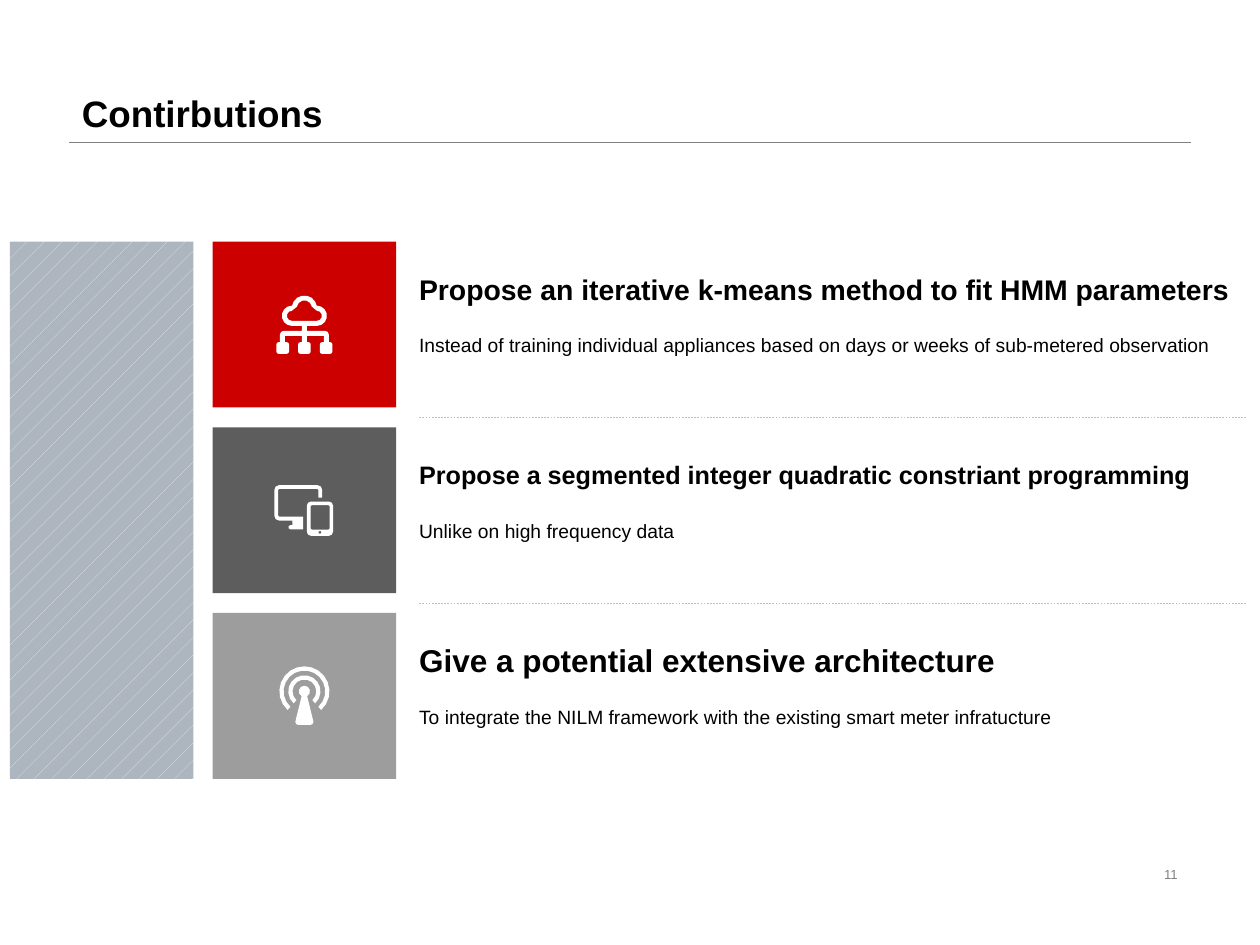
import math

import pptx
import pptx.dml.color
import pptx.enum.dml
import pptx.enum.shapes
import pptx.enum.text
import pptx.oxml.ns
import lxml.etree

Pt = pptx.util.Pt
ANCHOR = pptx.enum.text.MSO_ANCHOR
ALIGN = pptx.enum.text.PP_ALIGN

COLORS = {
    "black": "000000", "white": "FFFFFF", "gray": "808080", "rule": "BFBFBF",
    "red": "CD0000", "dark": "5D5D5D", "light": "9D9D9D",
    "hatch": "E4E6EA", "panel": "ADB5BF",
}
TILE_LEFT, TILE_TOP, TILE_WIDTH, TILE_HEIGHT, PITCH = 121.5, 138.1, 104.9, 94.8, 106.1
TEXT_LEFT, TEXT_WIDTH = 232.4, 480.2

HEADING = {"frame": {"vertical_anchor": ANCHOR.MIDDLE}, "font": {"bold": True}}
DETAIL = {"para": {"line_spacing": 1.5}, "font": {"size": Pt(11)}}
TITLE = {
    "frame": {"vertical_anchor": ANCHOR.BOTTOM},
    "para": {"alignment": ALIGN.LEFT, "line_spacing": 0.9},
    "font": {"size": Pt(21), "bold": True},
}
NUMBER = {
    "frame": {"vertical_anchor": ANCHOR.MIDDLE},
    "para": {"alignment": ALIGN.RIGHT},
    "font": {"size": Pt(7.5)},
}


def color(name):
    return pptx.dml.color.RGBColor.from_string(COLORS[name])


def apply(target, values):
    for name, value in values.items():
        setattr(target, name, value)


def write(box, text, style, ink="black", **font):
    frame = box.text_frame
    apply(frame, {"word_wrap": True, "auto_size": pptx.enum.text.MSO_AUTO_SIZE.NONE})
    apply(frame, style.get("frame", {}))
    para = frame.paragraphs[0]
    apply(para, style.get("para", {}))
    span = para.add_run()
    span.text = text
    apply(span.font, {"name": "Arial", **style["font"], **font})
    span.font.color.rgb = color(ink)


def add_text(slide, bounds, text, style, ink="black", **font):
    box = slide.shapes.add_textbox(*map(Pt, bounds))
    write(box, text, style, ink, **font)


def add_title(slide, text):
    title = slide.shapes.title
    apply(title, {"left": Pt(39.6), "top": Pt(0), "width": Pt(640.8), "height": Pt(81)})
    write(title, text, TITLE)


def add_rectangle(slide, bounds, fill=None):
    kind = pptx.enum.shapes.MSO_SHAPE.RECTANGLE
    shape = slide.shapes.add_shape(kind, *map(Pt, bounds))
    shape.shadow.inherit = False
    shape.line.fill.background()
    if fill:
        shape.fill.solid()
        shape.fill.fore_color.rgb = color(fill)
    return shape


def add_panel(slide, bounds):
    panel = add_rectangle(slide, bounds)
    panel.fill.patterned()
    panel.fill.pattern = pptx.enum.dml.MSO_PATTERN.PERCENT_5
    panel.fill.fore_color.rgb = color("hatch")
    panel.fill.back_color.rgb = color("panel")


def add_rule(slide, left, right, top, ink, dash=None):
    kind = pptx.enum.shapes.MSO_CONNECTOR.STRAIGHT
    rule = slide.shapes.add_connector(kind, Pt(left), Pt(top), Pt(right), Pt(top))
    rule.line.color.rgb = color(ink)
    apply(rule.line, {"width": Pt(0.25), "dash_style": dash})
    properties = rule._element.spPr
    lxml.etree.SubElement(properties, pptx.oxml.ns.qn("a:effectLst"))


def arc(x, y, radius, start, end):
    sweep = math.radians(end - start)
    steps = max(1, round(abs(sweep) * math.sqrt(radius) * 0.9))
    angles = [math.radians(start) + sweep * step / steps for step in range(steps + 1)]
    return [(x + radius * math.cos(angle), y + radius * math.sin(angle)) for angle in angles]


def rounded(left, top, width, height, radius):
    near_x, far_x = left + radius, left + width - radius
    near_y, far_y = top + radius, top + height - radius
    return (arc(near_x, near_y, radius, 180, 270) + arc(far_x, near_y, radius, 270, 360)
            + arc(far_x, far_y, radius, 0, 90) + arc(near_x, far_y, radius, 90, 180))


def mirrored(half):
    return half + [(-x, y) for x, y in reversed(half)]


def cloud_outline(side_radius, top_radius):
    return (arc(-7.1, -5, side_radius, 90, 270) + arc(0, -9.4, top_radius, 190, 350)
            + arc(7.1, -5, side_radius, 270, 450))


def cloud_icon():
    tree = mirrored([(1.4, 0.8), (1.4, 3.6)] + arc(11.8, 5.8, 2.2, 270, 360)
                    + [(14, 10.1), (11.2, 10.1), (11.2, 6.5), (1.4, 6.5), (1.4, 10.1)])
    nodes = [rounded(center - 3.6, 10.1, 7.2, 6.6, 1.2) for center in (-12.4, 0, 12.4)]
    return [cloud_outline(5.8, 7.2), cloud_outline(2.9, 4.4), tree, *nodes]


def devices_icon():
    monitor = (arc(-14.4, -11.6, 2.8, 180, 270) + arc(7.4, -11.6, 2.8, 270, 360)
               + [(10.2, -7.2), (8, -7.2)]
               + arc(7.4, -11.6, 0.6, 360, 270) + arc(-14.4, -11.6, 0.6, 270, 180)
               + arc(-14.4, 3, 0.6, 180, 90) + [(-0.7, 3.6), (-0.7, 10.9)]
               + arc(-8, 9.7, 1.2, 90, 270) + [(-6.8, 8.5), (-6.8, 5.9)]
               + arc(-14.4, 3.1, 2.8, 90, 180))
    tablet = rounded(1.4, -5, 15, 19.6, 2.4)
    screen = rounded(3.6, -2.9, 10.8, 13.9, 0.6)
    return [monitor, tablet, screen, arc(8.9, 12.6, 0.9, 0, 360)]


def antenna_icon():
    mast = (arc(0, -2.6, 3.2, 120, 420) + arc(3.4, 14.8, 1.8, 0, 90)
            + arc(-3.4, 14.8, 1.8, 90, 180))
    waves = [arc(0, -2.6, outer, 132, 408) + arc(0, -2.6, outer - 2.4, 408, 132)
             for outer in (9.2, 14.3)]
    return [mast, *waves]


def add_icon(slide, x, y, contours):
    placed = [[(Pt(x + across), Pt(y + down)) for across, down in contour]
              for contour in contours]
    builder = slide.shapes.build_freeform(*placed[0][0], scale=1.0)
    for number, contour in enumerate(placed):
        if number:
            builder.move_to(*contour[0])
        builder.add_line_segments(contour[1:], close=True)
    icon = builder.convert_to_shape()
    icon.shadow.inherit = False
    icon.fill.solid()
    icon.fill.fore_color.rgb = color("white")
    icon.line.fill.background()


def add_contribution(slide, top, fill, contours, heading, size, detail):
    add_rectangle(slide, (TILE_LEFT, top, TILE_WIDTH, TILE_HEIGHT), fill)
    add_icon(slide, TILE_LEFT + TILE_WIDTH / 2, top + TILE_HEIGHT / 2, contours)
    add_text(slide, (TEXT_LEFT, top + 42.5, TEXT_WIDTH, 41), detail, DETAIL)
    add_text(slide, (TEXT_LEFT, top + 11.5, TEXT_WIDTH, 31), heading, HEADING, size=Pt(size))


def main():
    deck = pptx.Presentation()
    apply(deck, {"slide_width": Pt(720), "slide_height": Pt(540)})
    slide = deck.slides.add_slide(deck.slide_layouts[5])
    add_rule(slide, 39.6, 680.4, 81.2, "gray")
    add_title(slide, "Contirbutions")
    add_text(slide, (508, 491.4, 172.1, 16.6), "11", NUMBER, "gray")
    contributions = [
        ("red", cloud_icon(), "Propose an iterative k-means method to fit HMM parameters", 16.2,
         "Instead of training individual appliances based on days or weeks of sub-metered observation"),
        ("dark", devices_icon(), "Propose a segmented integer quadratic constriant programming", 14.4,
         "Unlike on high frequency data"),
        ("light", antenna_icon(), "Give a potential extensive architecture", 18,
         "To integrate the NILM framework with the existing smart meter infratucture"),
    ]
    last = len(contributions) - 1
    add_panel(slide, (5.6, TILE_TOP, TILE_WIDTH, last * PITCH + TILE_HEIGHT))
    for row, contribution in enumerate(contributions):
        top = TILE_TOP + row * PITCH
        add_contribution(slide, top, *contribution)
        if row < last:
            add_rule(slide, 239.6, 712.1, top + 100.5, "rule", pptx.enum.dml.MSO_LINE.DASH)
    deck.save("out.pptx")


if __name__ == "__main__":
    main()
